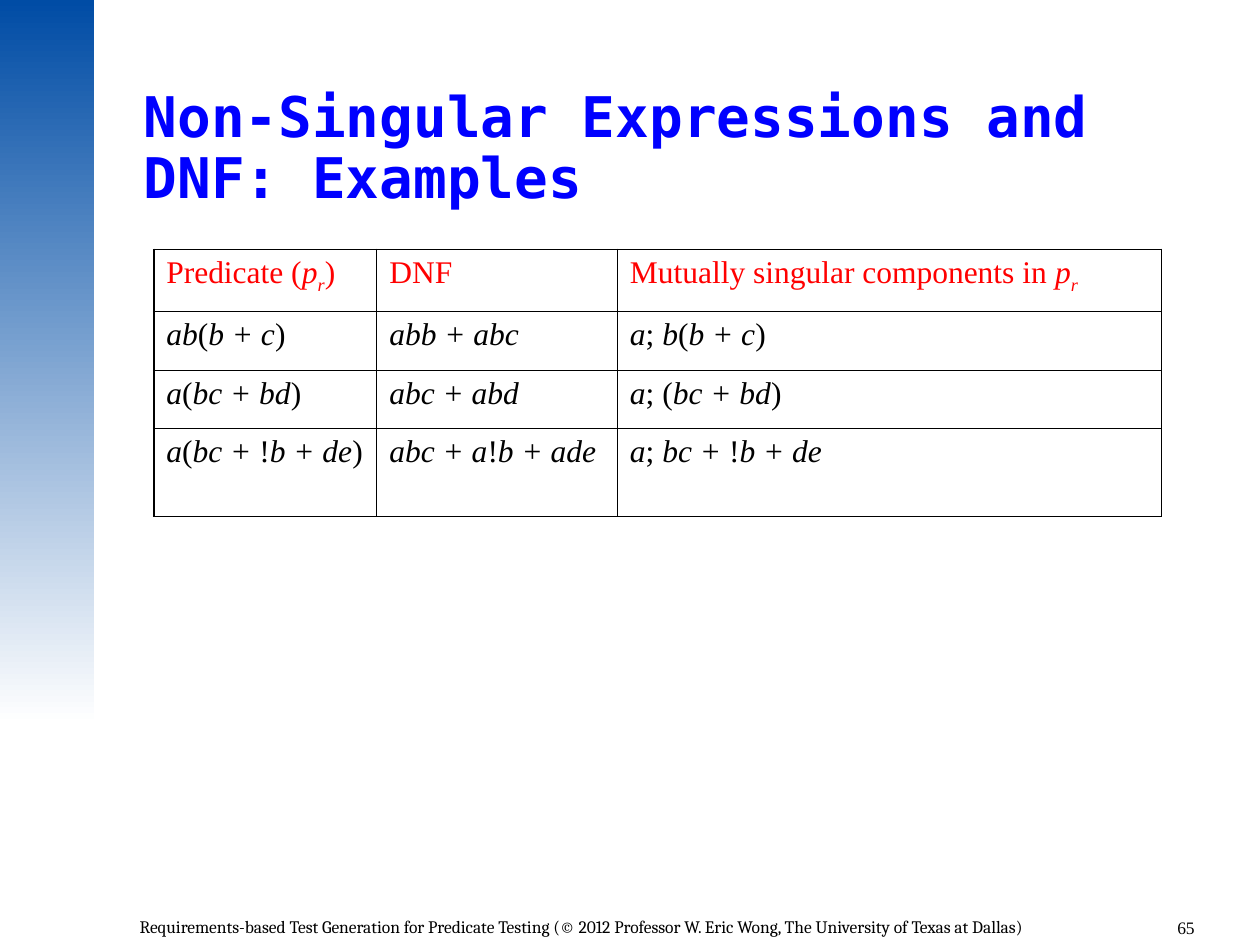
from itertools import groupby

from lxml.etree import SubElement
from pptx import Presentation
from pptx.dml.color import RGBColor
from pptx.enum.shapes import MSO_SHAPE as Shape
from pptx.enum.text import PP_ALIGN as Align
from pptx.oxml.ns import qn
from pptx.util import Inches, Pt

SERIF = "Times New Roman"
BLACK, RED, BLUE = "000000", "FF0000", "0000FF"
OUTER, INNER = 1.08, 0.45
COLUMN_WIDTHS = [1.77, 1.91, 4.32]
ROW_HEIGHTS = [0.49, 0.47, 0.46, 0.7]

# Header runs: (text, italic, subscript)
P_R = [("p", True, False), ("r", True, True)]
HEADERS = [
    [("Predicate (", False, False), *P_R, (")", False, False)],
    [("DNF", False, False)],
    [("Mutually singular components in ", False, False), *P_R],
]
EXAMPLES = [
    ["ab(b + c)", "abb + abc", "a; b(b + c)"],
    ["a(bc + bd)", "abc + abd", "a; (bc + bd)"],
    ["a(bc + !b + de)", "abc + a!b + ade", "a; bc + !b + de"],
]


def rgb(color):
    return RGBColor.from_string(color)


def add_run(paragraph, text, size, font, color, bold=False, italic=False):
    run = paragraph.add_run()
    run.text = text
    run.font.size = Pt(size)
    run.font.name = font
    run.font.bold = bold
    run.font.italic = italic
    run.font.color.rgb = rgb(color)
    return run


def add_label(slide, box, text, size, font, color, bold=False,
              align=Align.LEFT, inset=(0.1, 0.05), spacing=None):
    frame = slide.shapes.add_textbox(*map(Inches, box)).text_frame
    frame.word_wrap = True
    frame.margin_left = frame.margin_right = Inches(inset[0])
    frame.margin_top = frame.margin_bottom = Inches(inset[1])
    paragraph = frame.paragraphs[0]
    paragraph.alignment = align
    paragraph.line_spacing = spacing
    add_run(paragraph, text, size, font, color, bold)


def add_side_band(slide):
    band = slide.shapes.add_shape(Shape.RECTANGLE, 0, 0, Inches(0.75), Inches(5.75))
    band.shadow.inherit = False
    band.line.fill.background()
    band.fill.gradient()
    band.fill.gradient_angle = 270
    for stop, color in zip(band.fill.gradient_stops, ("004CA5", "FFFFFF")):
        stop.color.rgb = rgb(color)


def expression_runs(expression):
    """Variables and sums are italic, punctuation is upright."""
    for upright, chars in groupby(expression, key=lambda char: char in "();!"):
        yield "".join(chars), not upright, False


def set_borders(cell, widths):
    properties = cell._tc.get_or_add_tcPr()
    for side, width in widths.items():
        border = SubElement(properties, qn(f"a:ln{side}"), w=str(Pt(width)))
        fill = SubElement(border, qn("a:solidFill"))
        SubElement(fill, qn("a:srgbClr"), val=BLACK)


def fill_cell(cell, runs, color):
    paragraph = cell.text_frame.paragraphs[0]
    for text, italic, subscript in runs:
        run = add_run(paragraph, text, 18, SERIF, color, italic=italic)
        if subscript:
            run.font._element.set("baseline", "-25000")


def add_examples_table(slide):
    rows = [HEADERS] + [[list(expression_runs(e)) for e in row] for row in EXAMPLES]
    last_row, last_column = len(rows) - 1, len(COLUMN_WIDTHS) - 1
    table = slide.shapes.add_table(
        len(rows), len(COLUMN_WIDTHS), Inches(1.22), Inches(1.98),
        Inches(sum(COLUMN_WIDTHS)), Inches(sum(ROW_HEIGHTS))).table
    table.first_row = table.horz_banding = False
    for column, width in zip(table.columns, COLUMN_WIDTHS):
        column.width = Inches(width)
    for row, height in zip(table.rows, ROW_HEIGHTS):
        row.height = Inches(height)

    for r, row in enumerate(rows):
        for c, runs in enumerate(row):
            cell = table.cell(r, c)
            fill_cell(cell, runs, BLACK if r else RED)
            edges = {"L": c == 0, "R": c == last_column,
                     "T": r == 0, "B": r == last_row}
            set_borders(cell, {side: OUTER if outer else INNER
                               for side, outer in edges.items()})
            cell.fill.background()


def main():
    prs = Presentation()
    prs.slide_width, prs.slide_height = Inches(10), Inches(7.5)
    slide = prs.slides.add_slide(prs.slide_layouts[6])

    add_side_band(slide)

    # Title
    add_label(slide, (1.14, 0.71, 8.48, 0.59),
              "Non-Singular Expressions and DNF: Examples", 32,
              "DejaVu Sans Mono", BLUE, bold=True, inset=(0, 0), spacing=0.9)

    add_examples_table(slide)

    # Page number and footer
    add_label(slide, (9, 7.23, 0.58, 0.3), "65", 10, SERIF, BLACK, align=Align.RIGHT)
    add_label(slide, (1.01, 7.22, 8.32, 0.28),
              "Requirements-based Test Generation for Predicate Testing "
              "(© 2012 Professor W. Eric Wong, The University of Texas at Dallas)",
              10, "Cambria", BLACK)

    prs.save("out.pptx")


if __name__ == "__main__":
    main()
